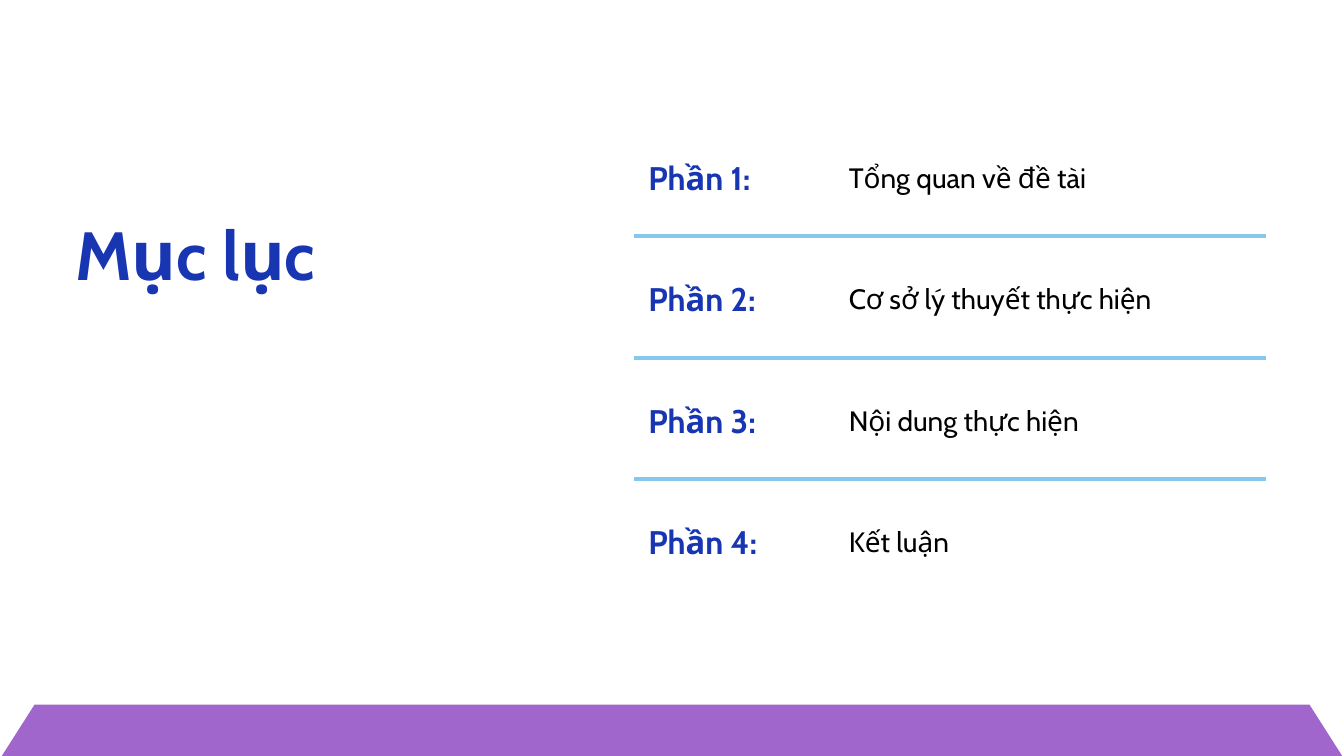
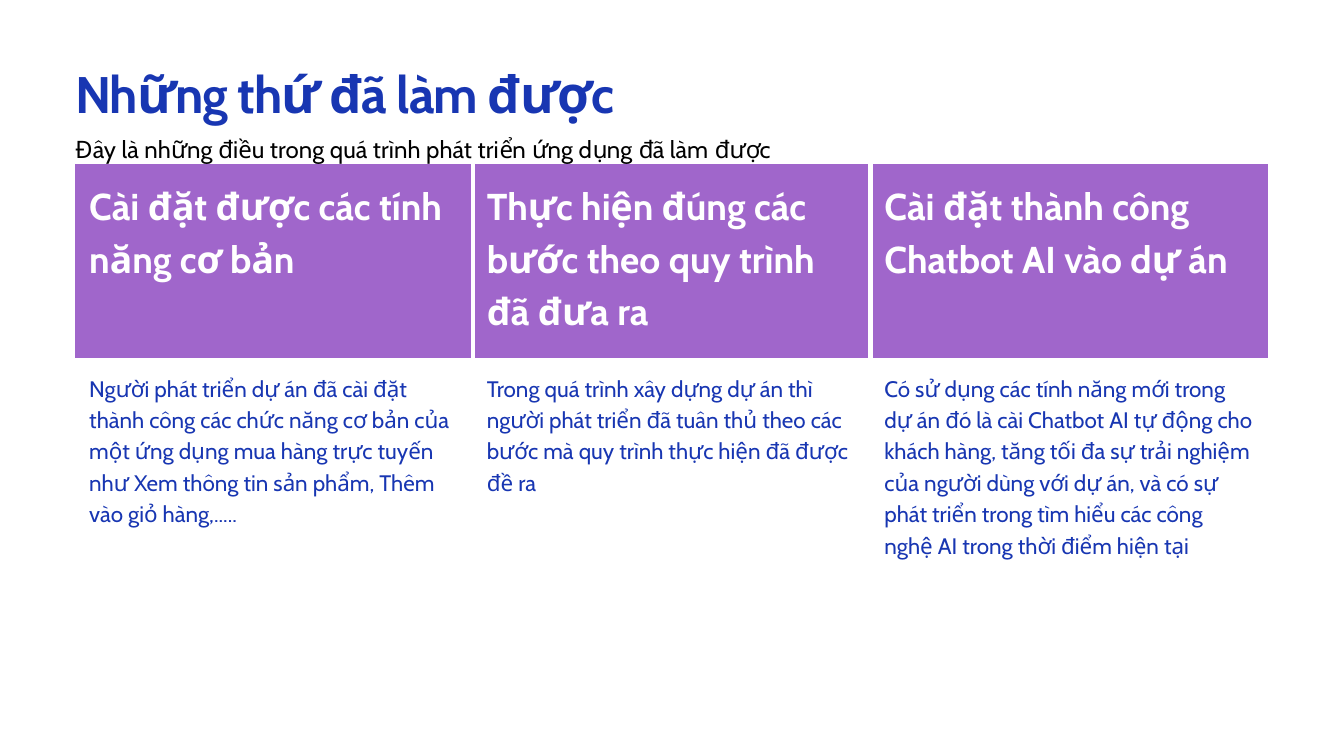
"""Build a contents slide and an achievements slide that share title, table and text styles."""
import pptx
import pptx.dml.color
import pptx.enum.text
import pptx.oxml
import pptx.oxml.ns
import pptx.util

Pt = pptx.util.Pt
ANCHOR = pptx.enum.text.MSO_ANCHOR

FONT = "Cabin"
BLUE, PURPLE, SKY, WHITE, BLACK = "1836B2", "A066CB", "86C7ED", "FFFFFF", "000000"
WIDTH, HEIGHT = 1440, 810
MARGIN = 80.6
CELL_INSET = 15

CONTENTS_TITLE = "Mục lục"
CONTENTS = [
    ("Phần 1:", "Tổng quan về đề tài"),
    ("Phần 2:", "Cơ sở lý thuyết thực hiện"),
    ("Phần 3:", "Nội dung thực hiện"),
    ("Phần 4:", "Kết luận"),
]

RESULTS_TITLE = "Những thứ đã làm được"
RESULTS_INTRO = "Đây là những điều trong quá trình phát triển ứng dụng đã làm được"
RESULTS = [
    ("Cài đặt được các tính năng cơ bản",
     "Thực hiện đúng các bước theo quy trình đã đưa ra",
     "Cài đặt thành công Chatbot AI vào dự án"),
    ("Người phát triển dự án đã cài đặt thành công các chức năng cơ bản của một ứng dụng "
     "mua hàng trực tuyến như Xem thông tin sản phẩm, Thêm vào giỏ hàng,.....",
     "Trong quá trình xây dựng dự án thì người phát triển đã tuân thủ theo các bước mà "
     "quy trình thực hiện đã được đề ra",
     "Có sử dụng các tính năng mới trong dự án đó là cài Chatbot AI tự động cho khách hàng, "
     "tăng tối đa sự trải nghiệm của người dùng với dự án, và có sự phát triển trong tìm hiểu "
     "các công nghệ AI trong thời điểm hiện tại"),
]

PART = dict(size=35, leading=49, color=BLUE, bold=True)
TOPIC = dict(size=30, leading=42, color=BLACK)
HEADING = dict(size=40, leading=56, color=WHITE, bold=True)
DETAIL = dict(size=24, leading=33.6, color=BLUE)
INTRO = dict(size=25.7, leading=36, color=BLACK, spacing=0.1)


def rgb(value):
    """Turn a hex string into a colour."""
    return pptx.dml.color.RGBColor.from_string(value)


def write(frame, text, size, leading, color, bold=False, spacing=0):
    """Fill a text frame with one styled paragraph."""
    frame.word_wrap = True
    paragraph = frame.paragraphs[0]
    paragraph.text = text
    paragraph.alignment = pptx.enum.text.PP_ALIGN.LEFT
    paragraph.line_spacing = Pt(leading)
    font = paragraph.font
    font.name, font.size, font.bold = FONT, Pt(size), bold
    font.color.rgb = rgb(color)
    if spacing:
        properties = paragraph.runs[0].font._element
        properties.set("spc", str(round(spacing * 100)))


def place_text(shape, box, text, **style):
    """Position a text shape without insets and write its text."""
    shape.left, shape.top, shape.width, shape.height = map(Pt, box)
    frame = shape.text_frame
    frame.margin_left = frame.margin_top = frame.margin_right = frame.margin_bottom = 0
    frame.auto_size = pptx.enum.text.MSO_AUTO_SIZE.NONE
    frame.vertical_anchor = ANCHOR.TOP
    write(frame, text, **style)


def add_titled_slide(presentation, box, text, size, leading, spacing=0):
    """Add a title-only slide with the shared title style."""
    slide = presentation.slides.add_slide(presentation.slide_layouts[5])
    place_text(slide.shapes.title, box, text, size=size, leading=leading,
               color=BLUE, bold=True, spacing=spacing)
    return slide


def set_border(cell, side, color, width):
    """Draw one cell border, or clear it when the width is zero."""
    paint = f'<a:solidFill><a:srgbClr val="{color}"/></a:solidFill>' if width else "<a:noFill/>"
    cell._tc.get_or_add_tcPr().append(pptx.oxml.parse_xml(
        f'<a:ln{side} {pptx.oxml.ns.nsdecls("a")} w="{int(Pt(width))}">{paint}</a:ln{side}>'))


def add_grid(slide, left, top, widths, heights, rows, style_at, anchor,
             line_color, row_line=0, column_line=0, header_fill=None):
    """Add a table with lines only between its rows or columns."""
    frame = slide.shapes.add_table(len(heights), len(widths), Pt(left), Pt(top),
                                   Pt(sum(widths)), Pt(sum(heights)))
    table = frame.table
    table.first_row = table.horz_banding = False
    for column, width in zip(table.columns, widths):
        column.width = Pt(width)
    for row, height in zip(table.rows, heights):
        row.height = Pt(height)
    for r, texts in enumerate(rows):
        for c, text in enumerate(texts):
            cell = table.cell(r, c)
            cell.margin_left = cell.margin_top = Pt(CELL_INSET)
            cell.margin_right = cell.margin_bottom = Pt(CELL_INSET)
            cell.vertical_anchor = anchor
            borders = {
                "L": column_line if c else 0,
                "R": column_line if c < len(widths) - 1 else 0,
                "T": row_line if r else 0,
                "B": row_line if r < len(heights) - 1 else 0,
            }
            for side, width in borders.items():
                set_border(cell, side, line_color, width)
            if header_fill and r == 0:
                cell.fill.solid()
                cell.fill.fore_color.rgb = rgb(header_fill)
            else:
                cell.fill.background()
            write(cell.text_frame, text, **style_at(r, c))


def add_band(slide):
    """Add the purple six-sided band that bleeds off the bottom edge."""
    top, half, overhang, slant = 755, 105, 30, 67
    left, right = -overhang, WIDTH + overhang
    middle, bottom = top + half, top + 2 * half
    points = [(left, middle), (left + slant, top), (right - slant, top),
              (right, middle), (right - slant, bottom), (left + slant, bottom)]
    points = [(Pt(x), Pt(y)) for x, y in points]
    builder = slide.shapes.build_freeform(*points[0])
    builder.add_line_segments(points[1:], close=True)
    band = builder.convert_to_shape()
    band.shadow.inherit = False
    band.fill.solid()
    band.fill.fore_color.rgb = rgb(PURPLE)
    band.line.fill.background()


def build_contents(presentation):
    """Build the contents slide."""
    slide = add_titled_slide(presentation, (MARGIN, 234.7, 259, 82), CONTENTS_TITLE, 73, 80.3)
    add_grid(slide, 679.7, 123, [214.7, 462.5], [130.2] * len(CONTENTS), CONTENTS,
             lambda r, c: TOPIC if c else PART, ANCHOR.MIDDLE, SKY, row_line=4.5)
    add_band(slide)


def build_results(presentation):
    """Build the achievements slide."""
    slide = add_titled_slide(presentation, (MARGIN, 55.4, 1085, 71.3), RESULTS_TITLE,
                             55, 77, spacing=-1.1)
    add_grid(slide, MARGIN, 175.7, [426] * 3, [207.4, 234.7], RESULTS,
             lambda r, c: DETAIL if r else HEADING, ANCHOR.TOP, WHITE,
             column_line=5.25, header_fill=PURPLE)
    place_text(slide.shapes.add_textbox(0, 0, 0, 0), (MARGIN, 139, 1085, 34.6),
               RESULTS_INTRO, **INTRO)


def main():
    """Build and save the presentation."""
    presentation = pptx.Presentation()
    presentation.slide_width, presentation.slide_height = Pt(WIDTH), Pt(HEIGHT)
    build_contents(presentation)
    build_results(presentation)
    presentation.save("out.pptx")


if __name__ == "__main__":
    main()
